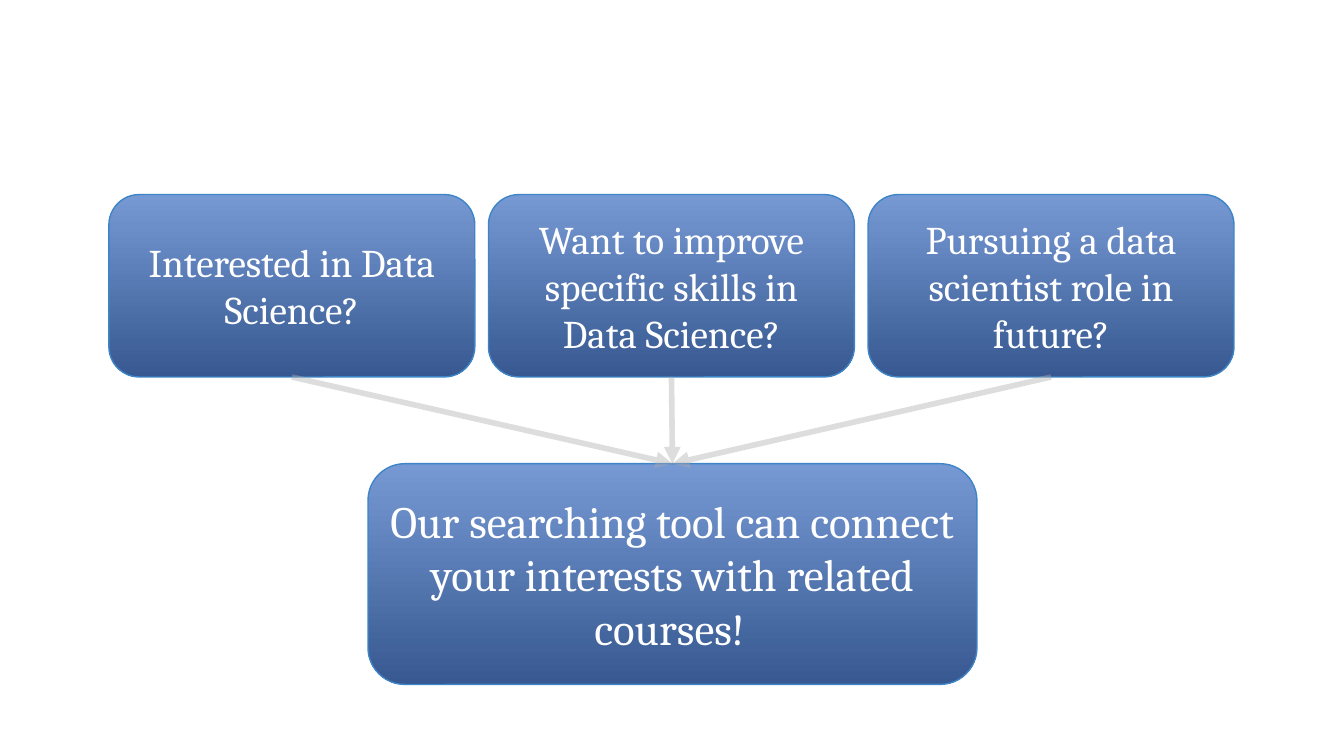
"""Build a slide where three questions lead to one search tool message."""
from dataclasses import dataclass

from lxml import etree
from pptx import Presentation
from pptx import util as u
from pptx.dml.color import RGBColor
from pptx.enum import shapes, text
from pptx.oxml.ns import qn


@dataclass(frozen=True)
class Theme:
    top: RGBColor = RGBColor.from_string("7699D4")
    bottom: RGBColor = RGBColor.from_string("375891")
    outline: RGBColor = RGBColor.from_string("3D85C6")
    arrow: RGBColor = RGBColor.from_string("AEABAB")
    lettering: RGBColor = RGBColor.from_string("FFFFFF")
    font: str = "Cambria"
    spacer_font: str = "Calibri"
    question_size: int = 28
    answer_size: int = 32
    spacer_size: int = 18


theme = Theme()


def add_box(slide, left, top, width, height, runs):
    """Add a gradient box holding one centred paragraph of (words, font, size) runs."""
    shape = slide.shapes.add_shape(
        shapes.MSO_SHAPE.ROUNDED_RECTANGLE,
        u.Inches(left), u.Inches(top), u.Inches(width), u.Inches(height))
    shape.shadow.inherit = False
    shape.fill.gradient()
    shape.fill.gradient_angle = 270
    for stop, color in zip(shape.fill.gradient_stops, (theme.top, theme.bottom)):
        stop.color.rgb = color
    for stop, position in zip(shape.fill.gradient_stops, (0, 1)):
        stop.position = position
    shape.line.color.rgb = theme.outline
    shape.line.width = u.Pt(1)
    frame = shape.text_frame
    frame.word_wrap = True
    frame.vertical_anchor = text.MSO_ANCHOR.MIDDLE
    paragraph = frame.paragraphs[0]
    paragraph.alignment = text.PP_ALIGN.CENTER
    for words, font, size in runs:
        run = paragraph.add_run()
        run.text = words
        run.font.name = font
        run.font.size = u.Pt(size)
        run.font.color.rgb = theme.lettering
    return shape


def add_arrow(slide, source, target):
    """Join the bottom of source to the top of target with a translucent arrow."""
    arrow = slide.shapes.add_connector(shapes.MSO_CONNECTOR.STRAIGHT, 0, 0, 0, 0)
    arrow.begin_connect(source, 2)
    arrow.end_connect(target, 0)
    arrow.line.color.rgb = theme.arrow
    arrow.line.width = u.Pt(4)
    properties = arrow._element.spPr
    color = properties.find(".//" + qn("a:srgbClr"))
    etree.SubElement(color, qn("a:alpha"), val="40000")
    etree.SubElement(properties.find(qn("a:ln")), qn("a:tailEnd"), type="triangle")
    etree.SubElement(properties, qn("a:effectLst"))


presentation = Presentation()
presentation.slide_width = u.Inches(13.33)
presentation.slide_height = u.Inches(7.5)
slide = presentation.slides.add_slide(presentation.slide_layouts[6])

answer = add_box(slide, 3.65, 4.6, 6.04, 2.19, [
    ("Our searching tool can connect your interests with related courses!",
     theme.font, theme.answer_size),
    (" ", theme.spacer_font, theme.spacer_size),
])

questions = [
    "Interested in Data Science?",
    "Want to improve specific skills in Data Science?",
    "Pursuing a data scientist role in future?",
]
first_left, pitch = 1.08, 3.765
for column, question in enumerate(questions):
    box = add_box(slide, first_left + column * pitch, 1.93, 3.63, 1.81,
                  [(question, theme.font, theme.question_size)])
    add_arrow(slide, box, answer)

presentation.save("out.pptx")
